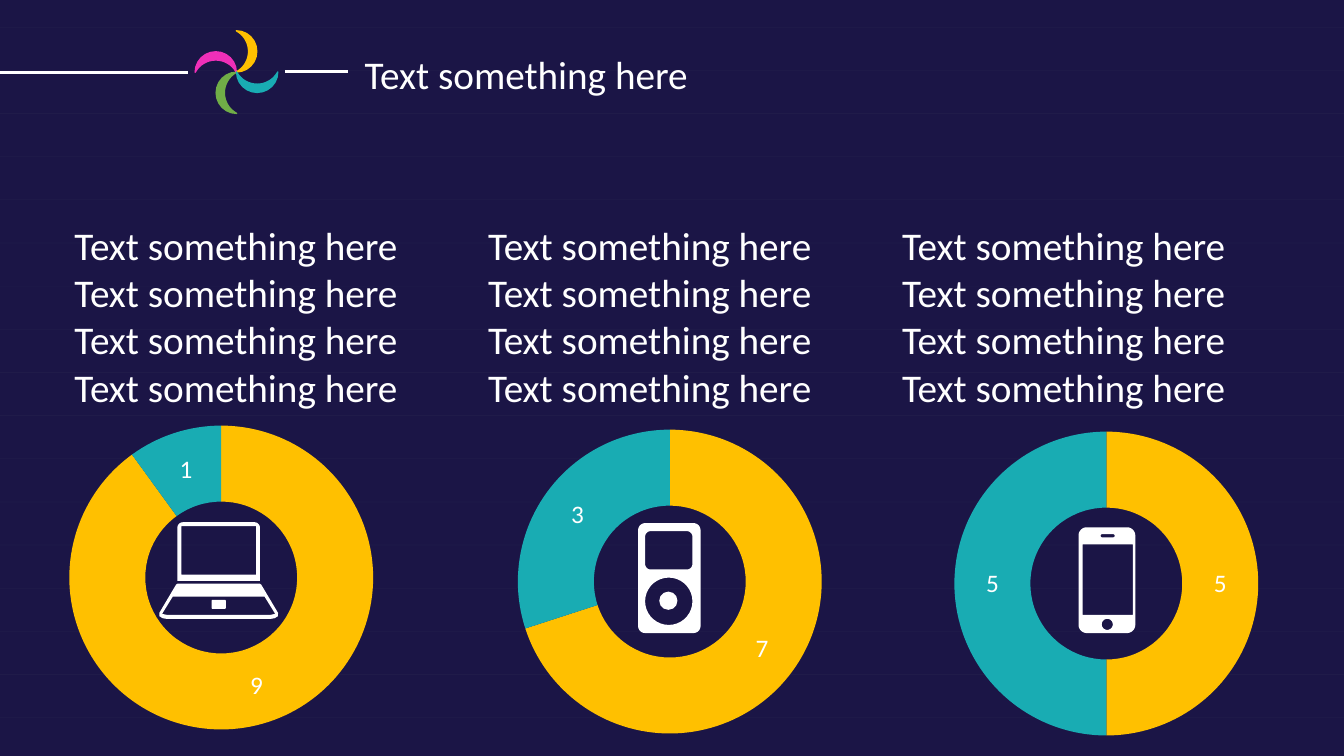
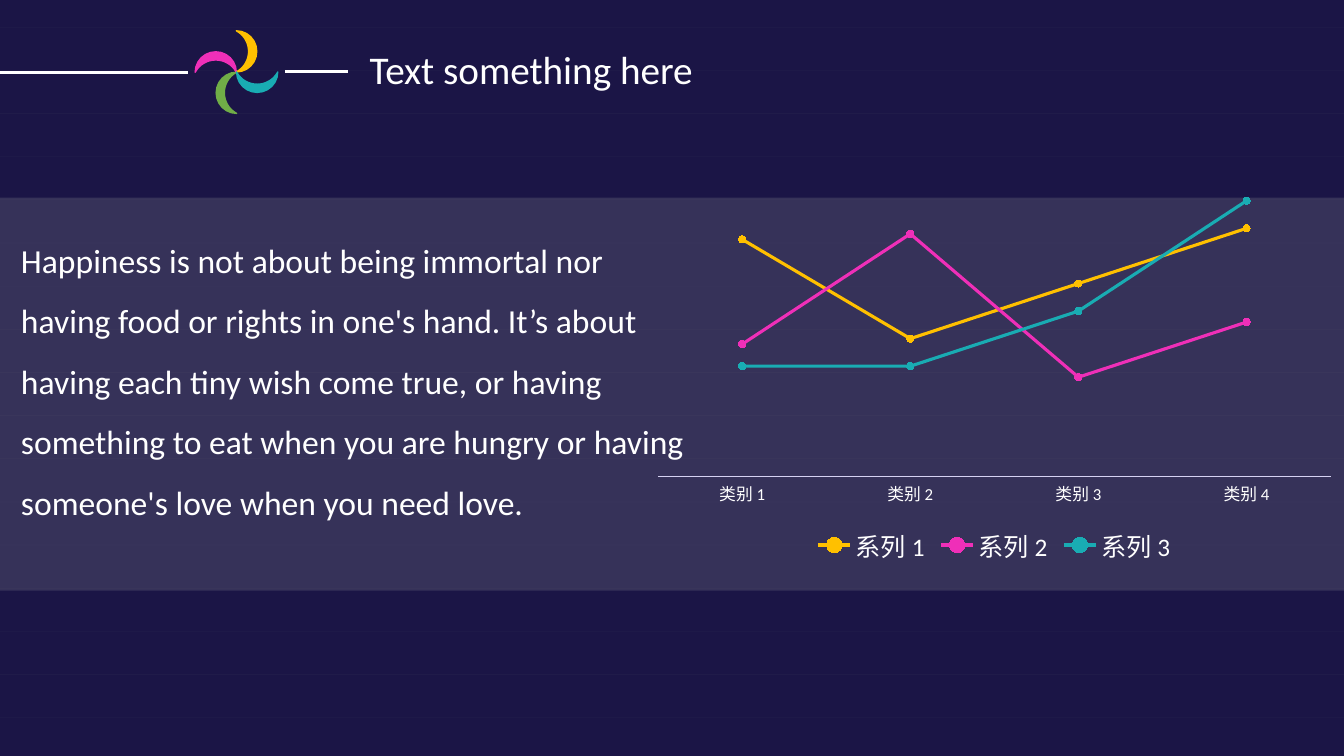
from math import cos, radians, sin

from lxml import etree
from pptx import Presentation
from pptx.chart.data import CategoryChartData
from pptx.dml.color import RGBColor
from pptx.enum.chart import XL_CHART_TYPE, XL_LEGEND_POSITION, XL_MARKER_STYLE, XL_TICK_MARK
from pptx.enum.shapes import MSO_CONNECTOR, MSO_SHAPE
from pptx.enum.text import MSO_AUTO_SIZE
from pptx.oxml.ns import qn
from pptx.util import Pt

RING = XL_CHART_TYPE.DOUGHNUT
LINES = XL_CHART_TYPE.LINE_MARKERS
BOTTOM = XL_LEGEND_POSITION.BOTTOM
DOT = XL_MARKER_STYLE.CIRCLE
NO_TICK = XL_TICK_MARK.NONE
STRAIGHT = MSO_CONNECTOR.STRAIGHT
MOON = MSO_SHAPE.MOON
OVAL = MSO_SHAPE.OVAL
RECT = MSO_SHAPE.RECTANGLE
GROW = MSO_AUTO_SIZE.SHAPE_TO_FIT_TEXT

NAVY = RGBColor(0x1B, 0x15, 0x46)
INK = RGBColor(0x24, 0x1C, 0x5E)
WHITE = RGBColor(0xFF, 0xFF, 0xFF)
GRAY = RGBColor(0x80, 0x80, 0x80)
SILVER = RGBColor(0xA6, 0xA6, 0xA6)
LILAC = RGBColor(0xD6, 0xD2, 0xF2)
GOLD = RGBColor(0xFF, 0xC0, 0x00)
TEAL = RGBColor(0x19, 0xAC, 0xB3)
PINK = RGBColor(0xEF, 0x2F, 0xB8)
GREEN = RGBColor(0x70, 0xAD, 0x47)
FONT = "Calibri"
PHRASE = "Text something here"


def fade(shape, percent):
    color = next(shape.element.iter(qn("a:srgbClr")))
    etree.SubElement(color, qn("a:alpha")).set("val", str(percent * 1000))


def outline(x, y, w, h, top, foot=None):
    foot = top if foot is None else foot
    corners = [
        (x + top, y + top, top, 180),
        (x + w - top, y + top, top, 270),
        (x + w - foot, y + h - foot, foot, 0),
        (x + foot, y + h - foot, foot, 90),
    ]
    return [
        (cx + r * cos(radians(start + turn)), cy + r * sin(radians(start + turn)))
        for cx, cy, r, start in corners
        for turn in (range(0, 91, 10) if r else [0])
    ]


prs = Presentation()
prs.slide_width, prs.slide_height = Pt(960), Pt(540)
blank = prs.slide_layouts[6]
fill = blank.background.fill
fill.solid()
fill.fore_color.rgb = NAVY
rings = prs.slides.add_slide(blank)
trend = prs.slides.add_slide(blank)

rules = [(0, 970.6, 19.4 + 30.83 * i, GRAY, 0.5) for i in range(17)]
rules += [(0, 134.6, 51.5, WHITE, 2.25), (203.8, 248.4, 51.1, WHITE, 2.25)]
for left, right, y, color, width in rules:
    rule = rings.shapes.add_connector(STRAIGHT, Pt(left), Pt(y), Pt(right), Pt(y))
    rule.line.color.rgb = color
    rule.line.width = Pt(width)
    etree.SubElement(rule.element.spPr, qn("a:effectLst"))
    if color == GRAY:
        fade(rule, 5)

dx, dy = -7.2, 14.8
for turn, color in enumerate([GREEN, PINK, GOLD, TEAL]):
    moon = rings.shapes.add_shape(
        MOON, Pt(168.9 + dx - 7.3), Pt(51.5 + dy - 14.7), Pt(14.6), Pt(29.4)
    )
    moon.adjustments[0] = 0.4
    moon.rotation = turn * 90
    moon.shadow.inherit = False
    moon.fill.solid()
    moon.fill.fore_color.rgb = color
    moon.line.color.rgb = color
    moon.line.width = Pt(1)
    dx, dy = -dy, dx

for shape in list(rings.shapes):
    blank.shapes.element.append(shape.element)

for left, top, values in [(39.6, 288, (9, 1)), (360, 290.9, (7, 3)), (671.8, 292.3, (5, 5))]:
    data = CategoryChartData()
    data.categories = ["1", "2"]
    data.add_series("Series 1", values)
    chart = rings.shapes.add_chart(
        RING, Pt(left), Pt(top), Pt(236.9), Pt(249.1), data
    ).chart
    chart.has_title = False
    chart.has_legend = False
    chart.font.name = FONT
    chart.font.size = Pt(10)
    chart.font.color.rgb = INK
    chart.element.xpath("//c:holeSize")[0].set("val", "75")
    plot = chart.plots[0]
    plot.vary_by_categories = True
    plot.has_data_labels = True
    labels = plot.data_labels
    labels.show_value = True
    labels.show_percentage = False
    labels.font.name = FONT
    labels.font.size = Pt(18)
    labels.font.color.rgb = WHITE
    for index, color in enumerate([GOLD, TEAL]):
        part = plot.series[0].points[index].format
        part.fill.solid()
        part.fill.fore_color.rgb = color
        part.line.fill.background()

player = [
    outline(455.8, 373.7, 44.6, 78.5, 5),
    outline(460.8, 412.6, 33.8, 33.8, 16.9),
    outline(460.8, 379.4, 33.8, 27.4, 4),
]
phone = [
    outline(770.4, 376.6, 40.6, 75.6, 6),
    outline(786.2, 381.6, 10.1, 2.2, 1),
    outline(787, 442, 7.9, 7.9, 3.95),
    outline(773.3, 388.8, 36, 50.4, 0),
]
screen = [outline(126.7, 373, 59, 41.8, 4, 0), outline(129.6, 375.8, 53.3, 34.6, 0)]
pad = [outline(151.2, 428.4, 10.1, 6.5, 0.7)]
halves = [
    [(29.4, 416.9), (30.4, 417.6), (42.4, 437.8), (42.3, 440.2), (40, 441.6), (37, 442.1)],
    [(32.8, 426.2), (40.4, 438.5), (37, 439.2)],
]
base = [
    [(156.2 + x, y) for x, y in half] + [(156.2 - x, y) for x, y in reversed(half)]
    for half in halves
]
marks = []
for loops in [player, phone, screen, pad, base]:
    first, *others = [[(Pt(x), Pt(y)) for x, y in loop] for loop in loops]
    pen = rings.shapes.build_freeform(*first[0], scale=1.0)
    pen.add_line_segments(first[1:], close=True)
    for loop in others:
        pen.move_to(*loop[0])
        pen.add_line_segments(loop[1:], close=True)
    marks.append(pen.convert_to_shape())
marks.append(rings.shapes.add_shape(OVAL, Pt(470.9), Pt(422.6), Pt(13), Pt(13)))
for mark in marks:
    mark.shadow.inherit = False
    mark.fill.solid()
    mark.fill.fore_color.rgb = WHITE
    mark.line.fill.background()

band = trend.shapes.add_shape(RECT, 0, Pt(141.1), Pt(960), Pt(280.8))
band.shadow.inherit = False
band.fill.solid()
band.fill.fore_color.rgb = SILVER
band.line.fill.background()
fade(band, 20)

data = CategoryChartData()
data.categories = ["类别 1", "类别 2", "类别 3", "类别 4"]
data.add_series("系列 1", (86, 50, 70, 90))
data.add_series("系列 2", (48, 88, 36, 56))
data.add_series("系列 3", (40, 40, 60, 100))
chart = trend.shapes.add_chart(
    LINES, Pt(460.1), Pt(97.9), Pt(500.4), Pt(308.2), data
).chart
chart.has_title = False
chart.font.name = FONT
chart.font.size = Pt(10)
chart.font.color.rgb = INK
chart.has_legend = True
chart.legend.position = BOTTOM
chart.legend.include_in_layout = False
axis = chart.category_axis
axis.major_tick_mark = NO_TICK
axis.format.line.color.rgb = LILAC
axis.format.line.width = Pt(0.75)
for font, size in [(chart.legend.font, 18), (axis.tick_labels.font, 12)]:
    font.name = FONT
    font.size = Pt(size)
    font.color.rgb = WHITE
scale = chart.value_axis
scale.visible = False
scale.has_major_gridlines = False
scale.minimum_scale = 0
scale.maximum_scale = 120
chart.plots[0].vary_by_categories = False
for series, color in zip(chart.plots[0].series, [GOLD, PINK, TEAL]):
    series.smooth = False
    series.format.line.color.rgb = color
    series.format.line.width = Pt(2.25)
    series.marker.style = DOT
    series.marker.size = 5
    look = series.marker.format
    look.fill.solid()
    look.fill.fore_color.rgb = color
    look.line.color.rgb = color

quote = (
    "Happiness is not about being immortal nor having food or rights in one's hand. "
    "It’s about having each tiny wish come true, or having something to eat when you "
    "are hungry or having someone's love when you need love."
)
boxes = [(rings, 46.1 + 295.6 * i, 154.8, 247.7, 177.1, [PHRASE] * 4, 28) for i in range(3)]
boxes += [
    (rings, 253.4, 32.4, 247.7, 41, [PHRASE], 28),
    (trend, 257, 28.8, 247.7, 41, [PHRASE], 28),
    (trend, 7.9, 153.4, 498.2, 312.5, [quote], 24),
]
for slide, left, top, width, height, lines, size in boxes:
    frame = slide.shapes.add_textbox(Pt(left), Pt(top), Pt(width), Pt(height)).text_frame
    frame.word_wrap = lines == [quote]
    frame.auto_size = GROW
    frame.text = "\n".join(lines)
    for para in frame.paragraphs:
        if frame.word_wrap:
            para.line_spacing = 1.5
        font = para.runs[0].font
        font.name = FONT
        font.size = Pt(size)
        font.color.rgb = WHITE

prs.save("out.pptx")
